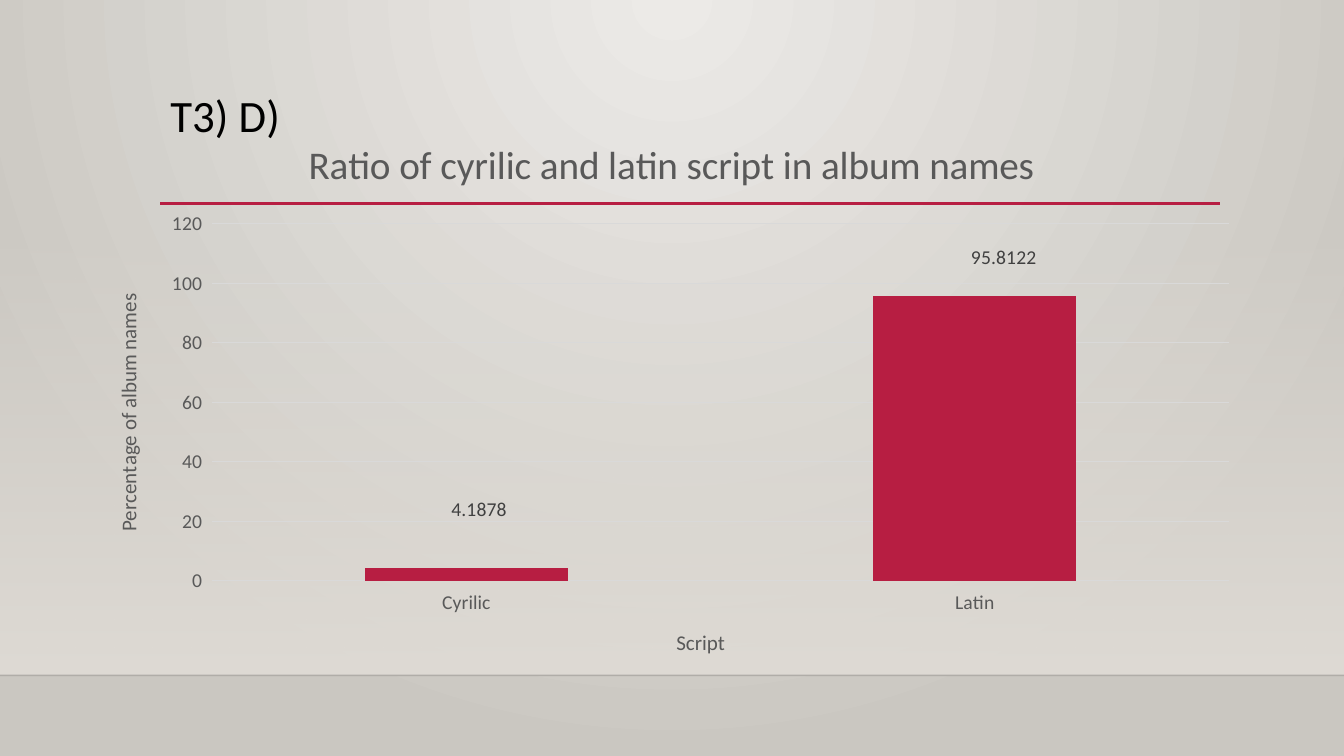
from lxml.etree import SubElement
from pptx import Presentation
from pptx.chart.data import CategoryChartData
from pptx.dml.color import RGBColor
from pptx.enum.chart import XL_CHART_TYPE, XL_TICK_LABEL_POSITION, XL_TICK_MARK
from pptx.enum.shapes import MSO_CONNECTOR, MSO_SHAPE
from pptx.enum.text import MSO_ANCHOR, MSO_AUTO_SIZE, PP_ALIGN
from pptx.oxml import parse_xml
from pptx.oxml.ns import nsdecls, qn
from pptx.util import Inches, Pt

FONT = "Calibri"
BLACK = RGBColor(0x00, 0x00, 0x00)
CRIMSON = RGBColor(0xB7, 0x1E, 0x42)
GREY = RGBColor(0x59, 0x59, 0x59)
DARK_GREY = RGBColor(0x40, 0x40, 0x40)
GRID_GREY = RGBColor(0xD9, 0xD9, 0xD9)
PALE = RGBColor(0xEC, 0xEA, 0xE7)
STONE = RGBColor(0xCA, 0xC7, 0xC1)
SAND = RGBColor(0xDF, 0xDB, 0xD5)

RADIAL = '<a:path path="circle"><a:fillToRect l="43000" r="43000" b="100000"/></a:path>'
DOWNWARD = '<a:lin ang="5400000" scaled="0"/>'


def style_font(font, size, color):
    font.name = FONT
    font.size = Pt(size)
    font.bold = False
    font.color.rgb = color


def write(frame, text, size, color, align=None, line_spacing=None):
    para = frame.paragraphs[0]
    para.alignment = align
    para.line_spacing = line_spacing
    span = para.add_run()
    span.text = text
    style_font(span.font, size, color)


def set_gradient(fill, holder, first, last, direction, first_alpha=100):
    fill.gradient()
    gradient = parse_xml(
        f'<a:gradFill {nsdecls("a")} rotWithShape="1"><a:gsLst>'
        f'<a:gs pos="0"><a:srgbClr val="{first}"><a:alpha val="{first_alpha * 1000}"/></a:srgbClr></a:gs>'
        f'<a:gs pos="100000"><a:srgbClr val="{last}"/></a:gs>'
        f'</a:gsLst>{direction}</a:gradFill>')
    holder.replace(holder.find(qn("a:gradFill")), gradient)


def add_rule(page, left, top, right, color, width, alpha=100):
    rule = page.shapes.add_connector(
        MSO_CONNECTOR.STRAIGHT, Inches(left), Inches(top), Inches(right), Inches(top))
    rule.line.color.rgb = color
    rule.line.width = Pt(width)
    properties = rule._element.spPr
    SubElement(properties.find(".//" + qn("a:srgbClr")), qn("a:alpha"), val=str(alpha * 1000))
    SubElement(properties, qn("a:effectLst"))


def place(element, index, modes=True, inner=False, **fractions):
    """Give a chart part a manual layout, in fractions of the chart."""
    old = element.find(qn("c:layout"))
    if old is not None:
        element.remove(old)
    layout = parse_xml(f'<c:layout {nsdecls("c")}><c:manualLayout/></c:layout>')
    manual = layout[0]
    if inner:
        SubElement(manual, qn("c:layoutTarget"), val="inner")
    if modes:
        for mode in ("xMode", "yMode"):
            SubElement(manual, qn(f"c:{mode}"), val="edge")
    for name, value in fractions.items():
        SubElement(manual, qn(f"c:{name}"), val=str(value))
    element.insert(index, layout)


def hide_leader_lines(labels):
    for switch in labels.findall(qn("c:showLeaderLines")):
        switch.set("val", "0")
    labels.append(parse_xml(
        f'<c:extLst {nsdecls("c")}><c:ext uri="{{CE6537A1-D6FC-4f65-9D91-7224C49458BB}}" '
        'xmlns:c15="http://schemas.microsoft.com/office/drawing/2012/chart">'
        '<c15:showLeaderLines val="0"/></c:ext></c:extLst>'))


def add_chart_title(title, text, size, x, y):
    write(title.text_frame, text, size, GREY)
    place(title._element, 1, x=x, y=y)


def format_axis(axis, text, x, y):
    style_font(axis.tick_labels.font, 14, GREY)
    axis.format.line.fill.background()
    axis.major_tick_mark = XL_TICK_MARK.OUTSIDE
    axis.minor_tick_mark = XL_TICK_MARK.NONE
    axis.tick_label_position = XL_TICK_LABEL_POSITION.NEXT_TO_AXIS
    add_chart_title(axis.axis_title, text, 15, x, y)


def add_script_chart(page):
    data = CategoryChartData()
    data.categories = ["Cyrilic", "Latin"]
    data.add_series("Series 1", [4.1878, 95.8122])
    chart = page.shapes.add_chart(
        XL_CHART_TYPE.COLUMN_STACKED, Inches(0.92), Inches(1.13),
        Inches(11.5), Inches(5.63), data).chart
    style_font(chart.font, 10, BLACK)
    chart.has_legend = False
    chart.has_title = True
    add_chart_title(chart.chart_title, "Ratio of cyrilic and latin script in album names",
                    28, 0.18, 0.03)
    plot_area = chart._chartSpace.find(".//" + qn("c:plotArea"))
    place(plot_area, 0, inner=True, x=0.103, y=0.194, w=0.877, h=0.629)

    # Axes
    format_axis(chart.category_axis, "Script", 0.5, 0.9)
    values = chart.value_axis
    format_axis(values, "Percentage of album names", 0.015, 0.31)
    values.minimum_scale, values.maximum_scale, values.major_unit = 0, 120, 20
    values.has_major_gridlines = True
    values.major_gridlines.format.line.color.rgb = GRID_GREY
    values.major_gridlines.format.line.width = Pt(0.75)

    # Columns and their shifted value labels
    plot = chart.plots[0]
    plot.gap_width = 150
    plot.overlap = 100
    plot.vary_by_categories = False
    series = plot.series[0]
    series.format.fill.solid()
    series.format.fill.fore_color.rgb = CRIMSON
    series.data_labels.show_value = True
    style_font(series.data_labels.font, 14, DARK_GREY)
    labels = series.data_labels._element
    for number, (x, y) in enumerate([(0.011, -0.115), (0.025, -0.318)]):
        style_font(series.points[number].data_label.font, 14, DARK_GREY)
        place(labels.findall(qn("c:dLbl"))[number], 1, modes=False, x=x, y=y)
    hide_leader_lines(labels)


def add_title(page):
    title = page.shapes.title
    title.left, title.top = Inches(1.59), Inches(0.88)
    title.width, title.height = Inches(10.5), Inches(1.15)
    frame = title.text_frame
    frame.word_wrap = True
    frame.auto_size = MSO_AUTO_SIZE.NONE
    frame.vertical_anchor = MSO_ANCHOR.TOP
    write(frame, "T3) D)", 32, BLACK, align=PP_ALIGN.LEFT, line_spacing=0.9)


def add_backdrop(page):
    set_gradient(page.background.fill, page._element.cSld.bg.bgPr, PALE, STONE, RADIAL)
    glow = page.shapes.add_shape(
        MSO_SHAPE.RECTANGLE, 0, Inches(2.21), Inches(13.33), Inches(4.49))
    glow.shadow.inherit = False
    glow.line.fill.background()
    set_gradient(glow.fill, glow._element.spPr, SAND, SAND, DOWNWARD, first_alpha=0)
    add_rule(page, 0, 6.7, 13.33, BLACK, 1, alpha=20)
    add_rule(page, 1.59, 2.02, 12.1, CRIMSON, 2.5)


def main():
    deck = Presentation()
    deck.slide_width, deck.slide_height = Inches(13.33), Inches(7.5)
    page = deck.slides.add_slide(deck.slide_layouts[5])
    add_backdrop(page)
    add_title(page)
    add_script_chart(page)
    deck.save("out.pptx")


if __name__ == "__main__":
    main()
